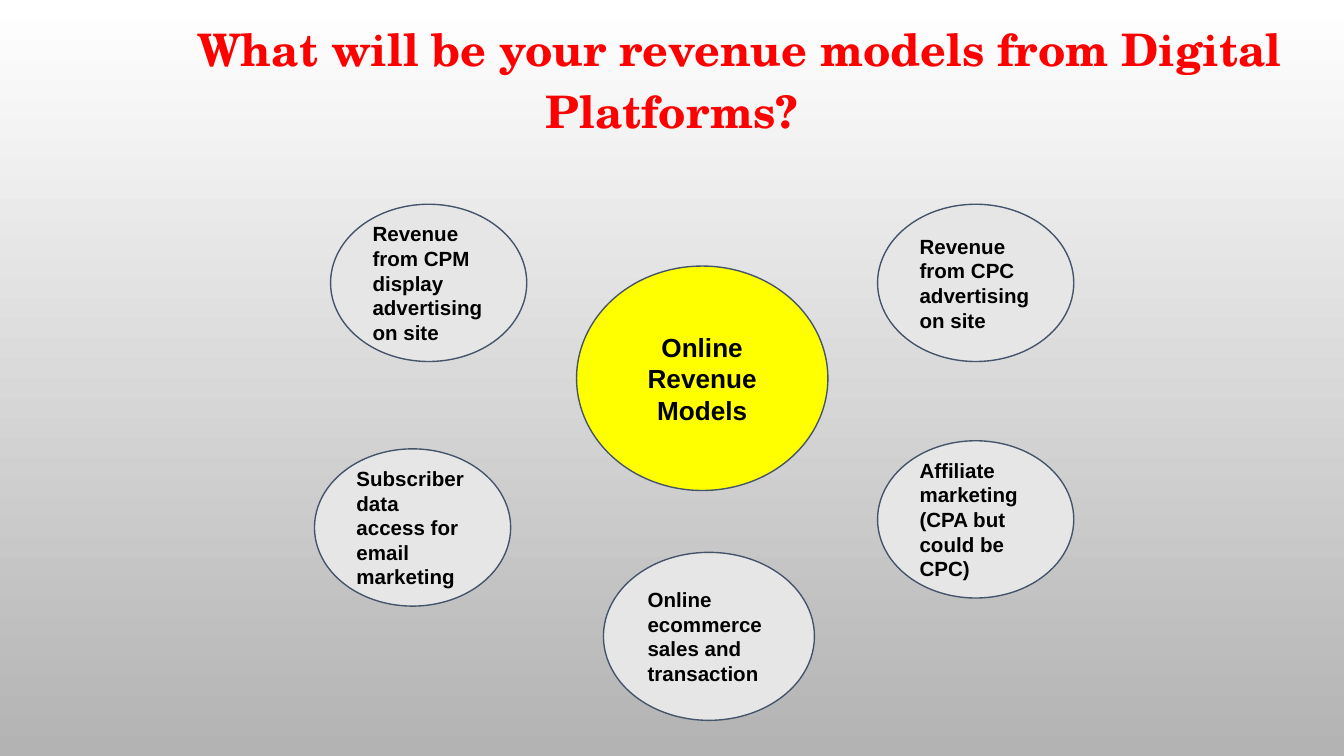
"""Build a slide of online revenue models around a central hub."""
import pptx
import pptx.util
import pptx.dml.color
import pptx.enum.shapes
import pptx.enum.text

Inches, Pt = pptx.util.Inches, pptx.util.Pt
RGB = pptx.dml.color.RGBColor.from_string
ALIGN = pptx.enum.text.PP_ALIGN

TITLE = "What will be your revenue models from Digital Platforms?"
HUB = ((4.29, 1.98, 1.87, 1.67), ["Online", "Revenue Models"])
SIZE = (1.46, 1.17)
MODELS = [
    ((2.46, 1.52, *SIZE), ["Revenue from CPM display", "advertising on site"]),
    ((2.34, 3.34, *SIZE), ["Subscriber data access for email marketing"]),
    ((4.49, 4.11, 1.57, 1.25), ["Online ecommerce sales and transaction"]),
    ((6.53, 1.52, *SIZE), ["Revenue from CPC advertising on site"]),
    ((6.53, 3.28, *SIZE), ["Affiliate marketing (CPA but could be CPC)"]),
]
THEME = {
    "top": "FFFFFF", "base": "B3B3B3", "title": "FF0000", "text": "000000",
    "hub": "FFFF00", "model": "E7E6E6", "line": "44546A",
    "head": "TeX Gyre Schola", "body": "Arial",
    "title_pt": 24, "hub_pt": 14, "model_pt": 11,
}


def style(para, face, size, color, align):
    para.alignment = align
    font = para.font
    font.name, font.size, font.bold = face, Pt(size), True
    font.color.rgb = RGB(color)


def inset(frame):
    frame.word_wrap = True
    frame.margin_left = frame.margin_right = Inches(0.1)
    frame.margin_top = frame.margin_bottom = Inches(0.1)


def add_title(slide):
    box = slide.shapes.add_textbox(0, 0, Inches(10), Inches(1.25))
    inset(box.text_frame)
    para = box.text_frame.paragraphs[0]
    para.text = TITLE
    para.line_spacing = 1.15
    para.space_after = Pt(12)
    props = para._p.get_or_add_pPr()
    props.set("marL", "0")
    props.set("indent", str(Inches(1)))
    style(para, THEME["head"], THEME["title_pt"], THEME["title"], ALIGN.CENTER)


def add_oval(slide, place, lines, role, align):
    kind = pptx.enum.shapes.MSO_SHAPE.OVAL
    oval = slide.shapes.add_shape(kind, *map(Inches, place))
    oval.shadow.inherit = False
    oval.fill.solid()
    oval.fill.fore_color.rgb = RGB(THEME[role])
    oval.line.color.rgb = RGB(THEME["line"])
    oval.line.width = Pt(0.75)
    frame = oval.text_frame
    inset(frame)
    frame.vertical_anchor = pptx.enum.text.MSO_ANCHOR.MIDDLE
    frame.text = "\n".join(lines)
    for para in frame.paragraphs:
        style(para, THEME["body"], THEME[role + "_pt"], THEME["text"], align)


def main():
    deck = pptx.Presentation()
    deck.slide_width = Inches(10)
    deck.slide_height = deck.slide_width * 9 // 16
    slide = deck.slides.add_slide(deck.slide_layouts[6])
    fill = slide.background.fill
    fill.gradient()
    fill.gradient_angle = 270
    for stop, spot, tone in zip(fill.gradient_stops, (0, 1), ("top", "base")):
        stop.position = spot
        stop.color.rgb = RGB(THEME[tone])
    add_title(slide)
    add_oval(slide, *HUB, "hub", ALIGN.CENTER)
    for place, lines in MODELS:
        add_oval(slide, place, lines, "model", ALIGN.LEFT)
    deck.save("out.pptx")


if __name__ == "__main__":
    main()
